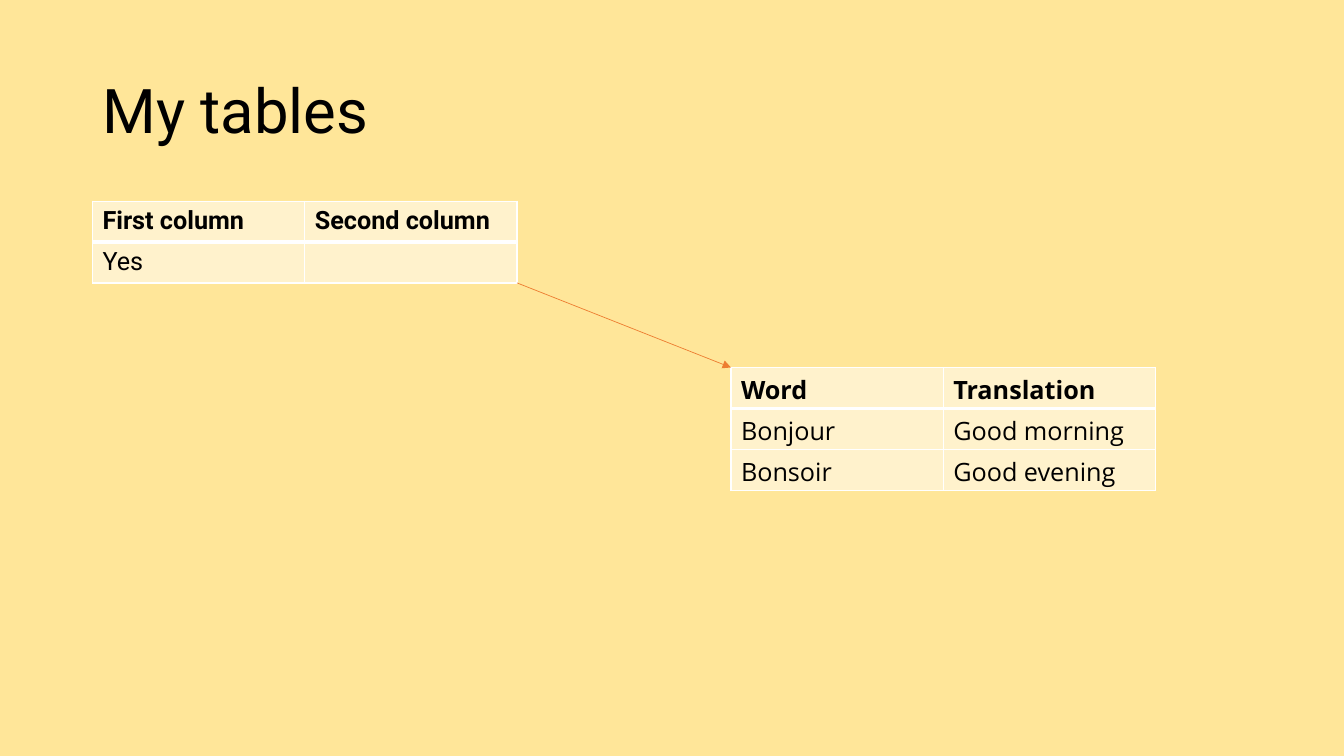
from lxml import etree
from pptx import Presentation
from pptx import util as u
from pptx.dml.color import RGBColor
from pptx.enum import shapes, text
from pptx.oxml import ns

CREAM, SAND, WHITE, BLACK, ORANGE = "FFF2CC", "FFE699", "FFFFFF", "000000", "ED7D31"
COL_W, ROW_H = 5.35, 1.03


def rgb(value):
    """Turn a hex string into a colour."""
    return RGBColor.from_string(value)


def paint(fill, color):
    """Give a fill one solid colour."""
    fill.solid()
    fill.fore_color.rgb = rgb(color)


def write(tf, words, size=18, font="Roboto", color=BLACK, bold=False, spacing=1.0):
    """Put formatted text in the first paragraph of a text frame."""
    p = tf.paragraphs[0]
    p.line_spacing = spacing
    p.font.size = u.Pt(size)
    if words:
        r = p.add_run()
        r.text = words
        r.font.name, r.font.size, r.font.bold = font, u.Pt(size), bold
        r.font.color.rgb = rgb(color)


def border(cell, side, width, color=WHITE):
    """Draw one side (L, R, T or B) of a cell."""
    tc_pr = cell._tc.get_or_add_tcPr()
    ln = etree.SubElement(tc_pr, ns.qn("a:ln" + side), w=str(u.Pt(width)))
    fill = etree.SubElement(ln, ns.qn("a:solidFill"))
    etree.SubElement(fill, ns.qn("a:srgbClr"), val=color)


def add_title(s, words, x, y, w, h):
    """Place the slide title, centred vertically in its box."""
    tf = s.shapes.add_textbox(*map(u.Cm, (x, y, w, h))).text_frame
    tf.word_wrap = True
    tf.vertical_anchor = text.MSO_ANCHOR.MIDDLE
    write(tf, words, size=44, spacing=0.9)


def add_grid(s, rows, x, y, font):
    """Place a table with a bold header and a thick rule under it."""
    n_rows, n_cols = len(rows), len(rows[0])
    box = map(u.Cm, (x, y, n_cols * COL_W, n_rows * ROW_H))
    table = s.shapes.add_table(n_rows, n_cols, *box).table
    table.horz_banding = False
    for i, row in enumerate(rows):
        for j, words in enumerate(row):
            cell = table.cell(i, j)
            write(cell.text_frame, words, font=font, bold=i == 0)
            for side in "LRTB":
                under_header = (i, side) in ((0, "B"), (1, "T"))
                border(cell, side, 3 if under_header else 1)
            paint(cell.fill, CREAM)


def add_arrow(s, x1, y1, x2, y2):
    """Draw a thin arrow between two points."""
    line = s.shapes.add_connector(
        shapes.MSO_CONNECTOR.STRAIGHT, *map(u.Cm, (x1, y1, x2, y2)))
    line.line.width = u.Pt(0.5)
    line.line.color.rgb = rgb(ORANGE)
    ln = line.line._get_or_add_ln()
    etree.SubElement(ln, ns.qn("a:tailEnd"), type="triangle")
    etree.SubElement(line._element.spPr, ns.qn("a:effectLst"))


def tables_slide(prs, x, y, w):
    """Build the slide: title, two tables and the arrow joining them."""
    s = prs.slides.add_slide(prs.slide_layouts[6])
    paint(s.background.fill, SAND)
    add_title(s, "My tables", x, y, w, 3.68)

    answers = [["First column", "Second column"], ["Yes", ""]]
    greetings = [["Word", "Translation"], ["Bonjour", "Good morning"],
                 ["Bonsoir", "Good evening"]]
    top = y + 4.06
    x2, y2 = x + 16.09, y + 8.25
    add_grid(s, answers, x, top, "Roboto")
    add_grid(s, greetings, x2, y2, "Open Sans")
    add_arrow(s, x + 2 * COL_W, top + len(answers) * ROW_H, x2, y2)


prs = Presentation()
prs.slide_width, prs.slide_height = u.Cm(33.87), u.Cm(19.05)
tables_slide(prs, 2.33, 1.01, 29.21)
prs.save("out.pptx")
